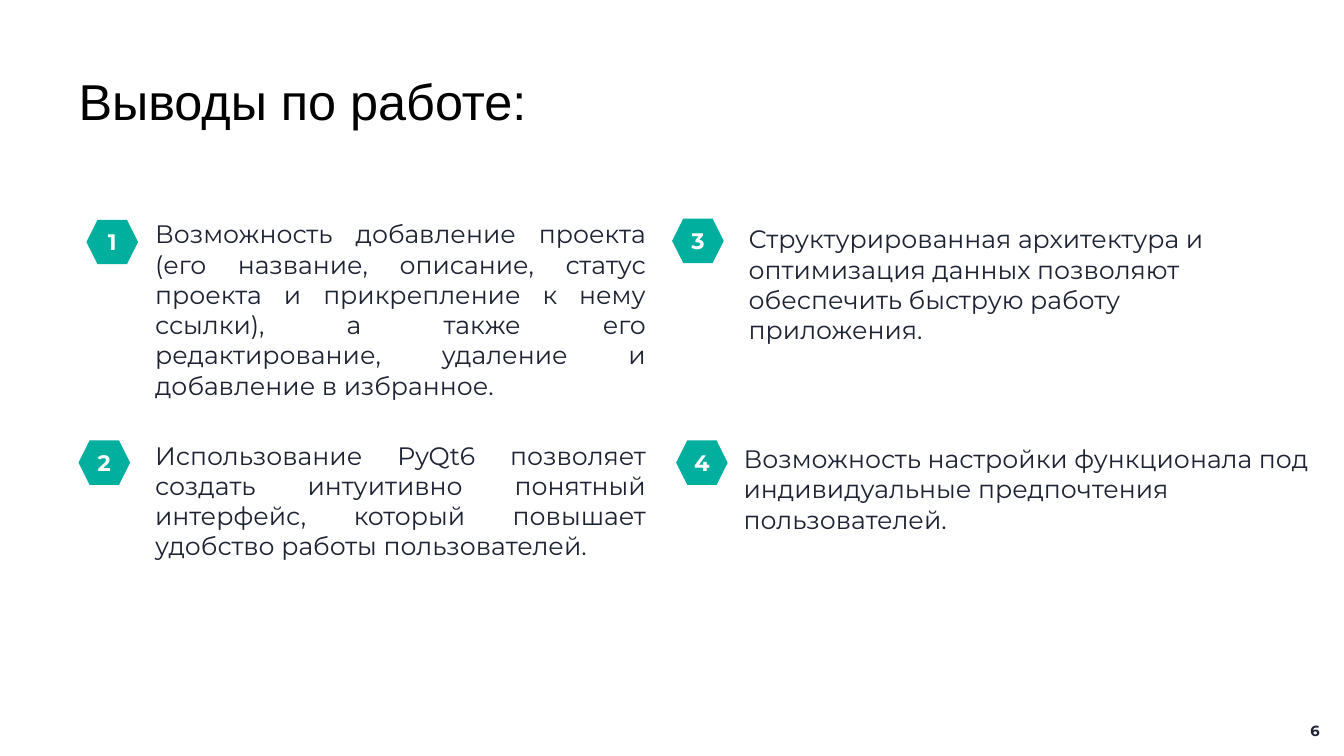
from dataclasses import dataclass

import pptx
import pptx.dml.color
import pptx.enum.shapes
import pptx.enum.text
import pptx.util

Cm = pptx.util.Cm
Pt = pptx.util.Pt
RGBColor = pptx.dml.color.RGBColor
ALIGN = pptx.enum.text.PP_ALIGN
ANCHOR = pptx.enum.text.MSO_ANCHOR
FIT = pptx.enum.text.MSO_AUTO_SIZE.SHAPE_TO_FIT_TEXT

TEAL = RGBColor(0x00, 0xAF, 0x9D)
INK = RGBColor(0x1D, 0x23, 0x32)
BLACK = RGBColor(0x00, 0x00, 0x00)
WHITE = RGBColor(0xFF, 0xFF, 0xFF)

BADGE_WIDTH, BADGE_HEIGHT = Cm(1.3), Cm(1.12)
CONCLUSION_GAP = Pt(28.5)


@dataclass(frozen=True)
class Style:
    size: float
    color: RGBColor = INK
    font: str = "Montserrat"
    bold: bool = False
    align: ALIGN = ALIGN.LEFT
    line_spacing: float = 1.0


@dataclass(frozen=True)
class TextBlock:
    left: float
    top: float
    width: float
    height: float
    paragraphs: tuple[str, ...]
    style: Style
    inset: bool = True
    anchor: ANCHOR = ANCHOR.TOP


@dataclass(frozen=True)
class Badge:
    number: str
    left: float
    top: float


BODY = Style(18)
BADGE_STYLE = Style(16, WHITE, bold=True, align=ALIGN.CENTER)

TEXT_BLOCKS = [
    TextBlock(1.98, 1.93, 24.03, 1.4, ("Выводы по\u00a0работе:",),
              Style(36, BLACK, "Arial", line_spacing=0.9),
              inset=False, anchor=ANCHOR.MIDDLE),
    TextBlock(3.91, 5.51, 12.37, 8.71, (
        "Возможность добавление проекта (его название, описание, статус "
        "проекта и прикрепление к нему ссылки), а также его "
        "редактирование, удаление и добавление в избранное.",
        "Использование PyQt6 позволяет создать интуитивно понятный "
        "интерфейс, который повышает удобство работы пользователей.",
    ), Style(18, align=ALIGN.JUSTIFY), inset=False),
    TextBlock(18.62, 5.51, 12.01, 3.33, (
        "Структурированная архитектура и оптимизация данных позволяют "
        "обеспечить быструю работу приложения.",
    ), BODY),
    TextBlock(18.49, 11.05, 15.37, 2.57, (
        "Возможность настройки функционала под индивидуальные "
        "предпочтения пользователей.",
    ), BODY),
    TextBlock(32.21, 18.08, 1.3, 0.66, ("6",),
              Style(10.5, bold=True, align=ALIGN.RIGHT),
              anchor=ANCHOR.MIDDLE),
]

BADGES = [
    Badge("1", 2.18, 5.54),
    Badge("2", 1.98, 11.1),
    Badge("3", 16.94, 5.51),
    Badge("4", 17.04, 11.1),
]


def write_paragraph(p: pptx.text.text._Paragraph, text: str, style: Style) -> None:
    p.alignment = style.align
    p.line_spacing = style.line_spacing
    r = p.add_run()
    r.text = text
    r.font.name = style.font
    r.font.size = Pt(style.size)
    r.font.bold = style.bold
    r.font.color.rgb = style.color


def clear_insets(tf: pptx.text.text.TextFrame) -> None:
    tf.margin_left = tf.margin_top = tf.margin_right = tf.margin_bottom = 0


def add_text_block(s: pptx.slide.Slide, block: TextBlock) -> None:
    sp = s.shapes.add_textbox(Cm(block.left), Cm(block.top),
                              Cm(block.width), Cm(block.height))
    tf = sp.text_frame
    tf.word_wrap = True
    tf.auto_size = FIT
    tf.vertical_anchor = block.anchor
    if not block.inset:
        clear_insets(tf)
    for i, text in enumerate(block.paragraphs):
        p = tf.add_paragraph() if i else tf.paragraphs[0]
        if i:
            p.space_before = CONCLUSION_GAP
        write_paragraph(p, text, block.style)


def add_badge(s: pptx.slide.Slide, badge: Badge) -> None:
    sp = s.shapes.add_shape(pptx.enum.shapes.MSO_SHAPE.HEXAGON,
                            Cm(badge.left), Cm(badge.top),
                            BADGE_WIDTH, BADGE_HEIGHT)
    sp.shadow.inherit = False
    sp.fill.solid()
    sp.fill.fore_color.rgb = TEAL
    sp.line.fill.background()
    tf = sp.text_frame
    clear_insets(tf)
    tf.vertical_anchor = ANCHOR.MIDDLE
    write_paragraph(tf.paragraphs[0], badge.number, BADGE_STYLE)


def main() -> None:
    prs = pptx.Presentation()
    prs.slide_width, prs.slide_height = Cm(33.87), Cm(19.05)
    s = prs.slides.add_slide(prs.slide_layouts[6])
    for block in TEXT_BLOCKS:
        add_text_block(s, block)
    for badge in BADGES:
        add_badge(s, badge)
    prs.save("out.pptx")


if __name__ == "__main__":
    main()
